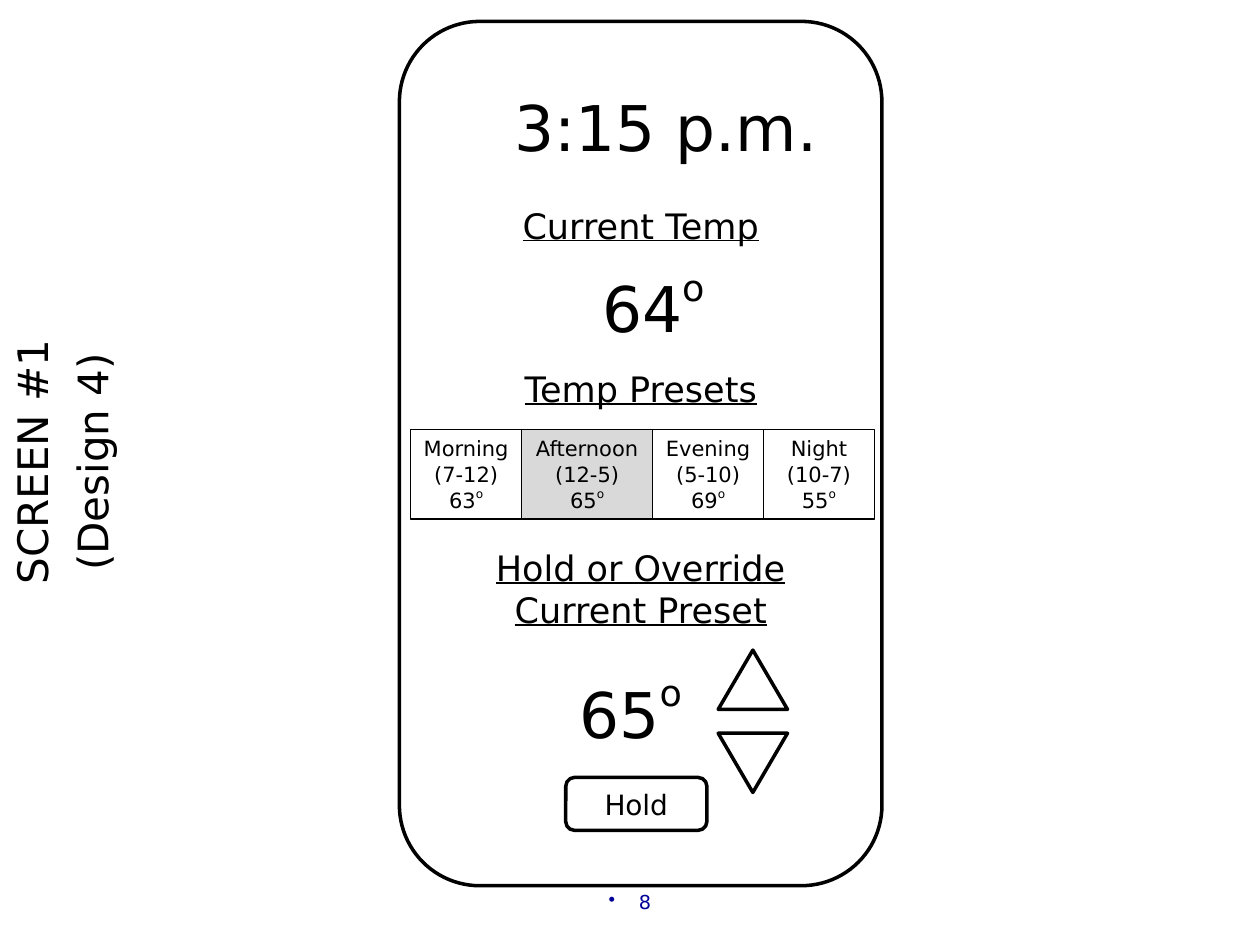
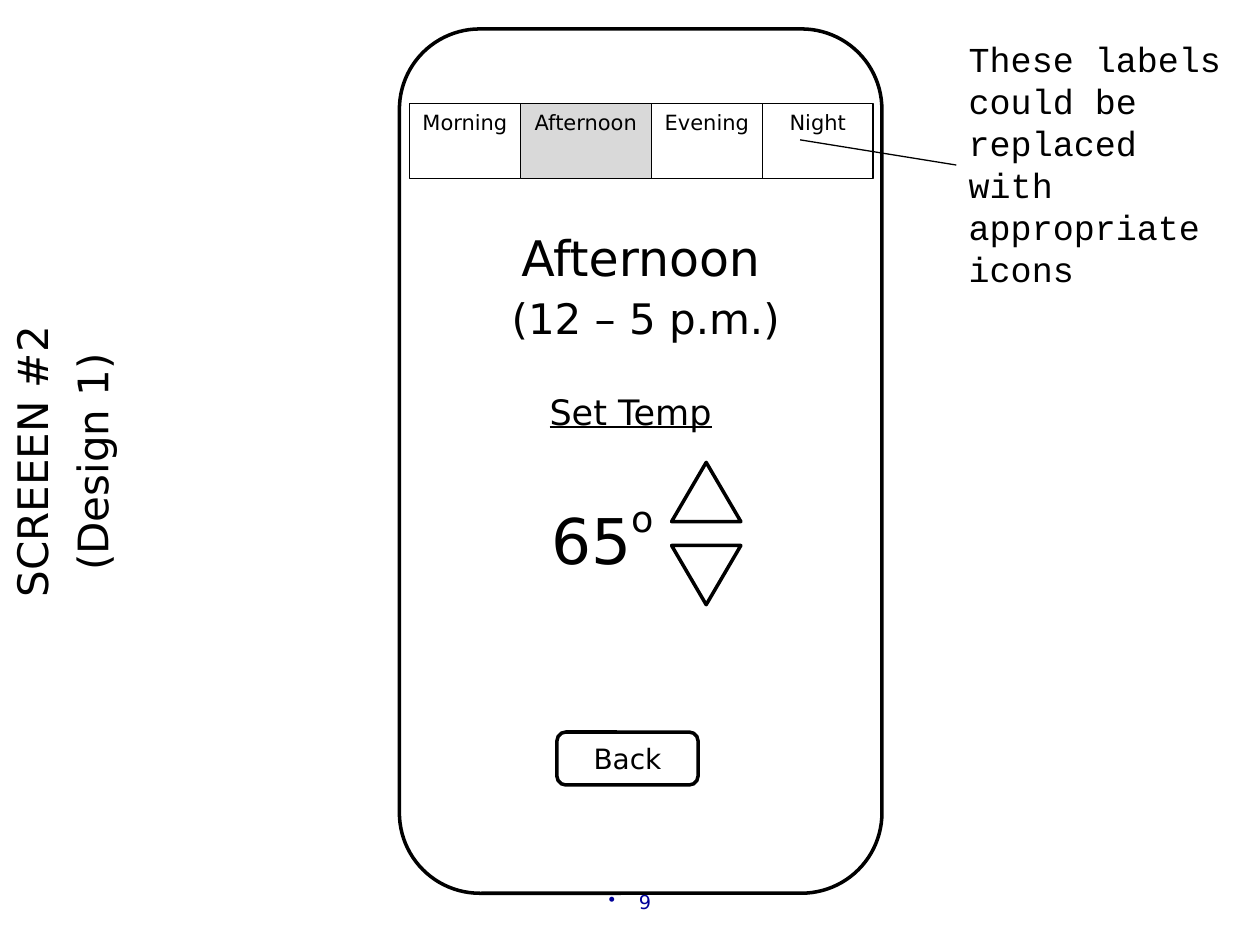
from lxml.etree import SubElement
from pptx import Presentation
from pptx.dml.color import RGBColor
from pptx.enum.shapes import MSO_CONNECTOR, MSO_SHAPE
from pptx.enum.text import MSO_ANCHOR, PP_ALIGN
from pptx.oxml.ns import qn
from pptx.util import Inches, Pt

BLACK = RGBColor(0, 0, 0)
WHITE = RGBColor(255, 255, 255)
GREY = RGBColor(0xD9, 0xD9, 0xD9)
NAVY = RGBColor(0, 0, 0x99)
SANS = "DejaVu Sans"
MONO = "Courier New"
WIDTHS = (0.88, 1.04, 0.88, 0.88)


def write(frame, text, size=20, font=SANS, color=BLACK, align=PP_ALIGN.CENTER,
          line=False, anchor=MSO_ANCHOR.TOP, wrap=True, bullet=False):
    """Fill a frame: a list gives paragraphs, a newline a break, ^ a raised letter."""
    frame.word_wrap = wrap
    frame.vertical_anchor = anchor
    parts = [text] if isinstance(text, str) else text
    for i, part in enumerate(parts):
        para = frame.add_paragraph() if i else frame.paragraphs[0]
        para.alignment = align
        if i:
            para.space_before = Pt(round(size * 0.233, 1))
        if bullet:
            props = para._p.get_or_add_pPr()
            props.set("marL", str(Inches(0.24)))
            props.set("indent", str(-Inches(0.24)))
            SubElement(props, qn("a:buChar")).set("char", "•")
        for j, row in enumerate(part.split("\n")):
            if j:
                para.add_line_break()
            for k, piece in enumerate(row.split("^")):
                run = para.add_run()
                run.text = piece
                run.font.size = Pt(size)
                run.font.name = font
                run.font.color.rgb = color
                run.font.underline = line
                if k:
                    run.font._element.set("baseline", "50000")


class Sketch:
    """Draws thermostat screens on the current slide."""

    def __init__(self):
        self.deck = Presentation()
        self.deck.slide_width = Inches(10)
        self.deck.slide_height = Inches(7.5)
        self.slide = None

    def start(self, number, title, top):
        """Add a slide with its page number, side title and device outline."""
        self.slide = self.deck.slides.add_slide(self.deck.slide_layouts[6])
        self.text(number, 0.25, 7.02, 9.5, 0.17, size=11, color=NAVY, bullet=True)
        self.shape(MSO_SHAPE.ROUNDED_RECTANGLE, 3.17, top, 3.83, 6.86)
        side = self.text(title, 0, 1.89, 1.09, 3.55, size=24)
        side.text_frame._txBody.bodyPr.set("vert", "vert270")

    def text(self, text, left, top, width=3.25, height=0.71, **style):
        """Add a text box."""
        box = self.slide.shapes.add_textbox(
            Inches(left), Inches(top), Inches(width), Inches(height))
        write(box.text_frame, text, **style)
        return box

    def shape(self, kind, left, top, width, height, fill=None, weight=2):
        """Add an outlined shape, hollow unless a fill is given."""
        item = self.slide.shapes.add_shape(
            kind, Inches(left), Inches(top), Inches(width), Inches(height))
        item.shadow.inherit = False
        item.line.color.rgb = BLACK
        item.line.width = Pt(weight)
        if fill is None:
            item.fill.background()
        else:
            item.fill.solid()
            item.fill.fore_color.rgb = fill
        return item

    def presets(self, labels, left, top, height):
        """Add the row of preset cells, with the afternoon one shaded."""
        for i, (label, width) in enumerate(zip(labels, WIDTHS)):
            cell = self.shape(MSO_SHAPE.RECTANGLE, left, top, width, height,
                              fill=GREY if i == 1 else None, weight=0.75)
            write(cell.text_frame, label, size=12, wrap=False)
            left += width

    def arrows(self, left, top):
        """Add the up and down triangles."""
        for i in range(2):
            arrow = self.shape(MSO_SHAPE.ISOSCELES_TRIANGLE,
                               left, top + i * 0.66, 0.55, 0.47)
            if i:
                arrow._element.spPr.xfrm.set("flipV", "1")

    def button(self, label, left, top):
        """Add a rounded push button."""
        key = self.shape(MSO_SHAPE.ROUNDED_RECTANGLE, left, top, 1.12, 0.42, fill=WHITE)
        write(key.text_frame, label, size=16, anchor=MSO_ANCHOR.MIDDLE)

    def link(self, box, left, top):
        """Add a thin line from the left side of a box to a point."""
        end = Inches(left), Inches(top)
        line = self.slide.shapes.add_connector(MSO_CONNECTOR.STRAIGHT, *end, *end)
        line.begin_connect(box, 1)
        line.line.color.rgb = BLACK
        line.line.width = Pt(0.75)
        SubElement(line._element.spPr, qn("a:effectLst"))


def home(pad):
    """Draw the main screen."""
    pad.start("8", ["SCREEN #1", "(Design 4)"], 0.17)
    pad.text("3:15 p.m.", 3.66, 0.65, size=36)
    pad.text("Current Temp", 3.46, 1.57, height=0.44, line=True)
    pad.text("64^o", 3.56, 2.05, size=36)
    pad.text("Temp Presets", 3.46, 2.87, height=0.44, line=True)
    pad.presets(["Morning\n(7-12)\n63^o", "Afternoon\n(12-5)\n65^o",
                 "Evening\n(5-10)\n69^o", "Night\n(10-7)\n55^o"], 3.26, 3.41, 0.71)
    pad.text("Hold or Override Current Preset", 3.46, 4.29, height=0.77, line=True)
    pad.text("65^o", 3.38, 5.27, size=36)
    pad.arrows(5.7, 5.16)
    pad.button("Hold", 4.49, 6.17)


def preset(pad):
    """Draw the screen that sets one preset."""
    pad.start("9", ["SCREEEN #2", "(Design 1)"], 0.23)
    pad.presets(["Morning", "Afternoon", "Evening", "Night"], 3.25, 0.82, 0.6)
    pad.text("Afternoon", 3.46, 1.76, height=0.57, size=28)
    pad.text("(12 – 5 p.m.)", 3.5, 2.27, height=0.5, size=24)
    pad.text("Set Temp", 3.38, 3.05, height=0.44, line=True)
    pad.text("65^o", 4.17, 3.89, width=1.22, size=36)
    pad.arrows(5.33, 3.67)
    pad.button("Back", 4.42, 5.81)
    note = pad.text("These labels could be replaced with appropriate icons",
                    7.59, 0.25, 2.34, 2.12, font=MONO, align=PP_ALIGN.LEFT)
    pad.link(note, 6.35, 1.11)


def main():
    """Build and save the deck."""
    pad = Sketch()
    home(pad)
    preset(pad)
    pad.deck.save("out.pptx")


if __name__ == "__main__":
    main()
